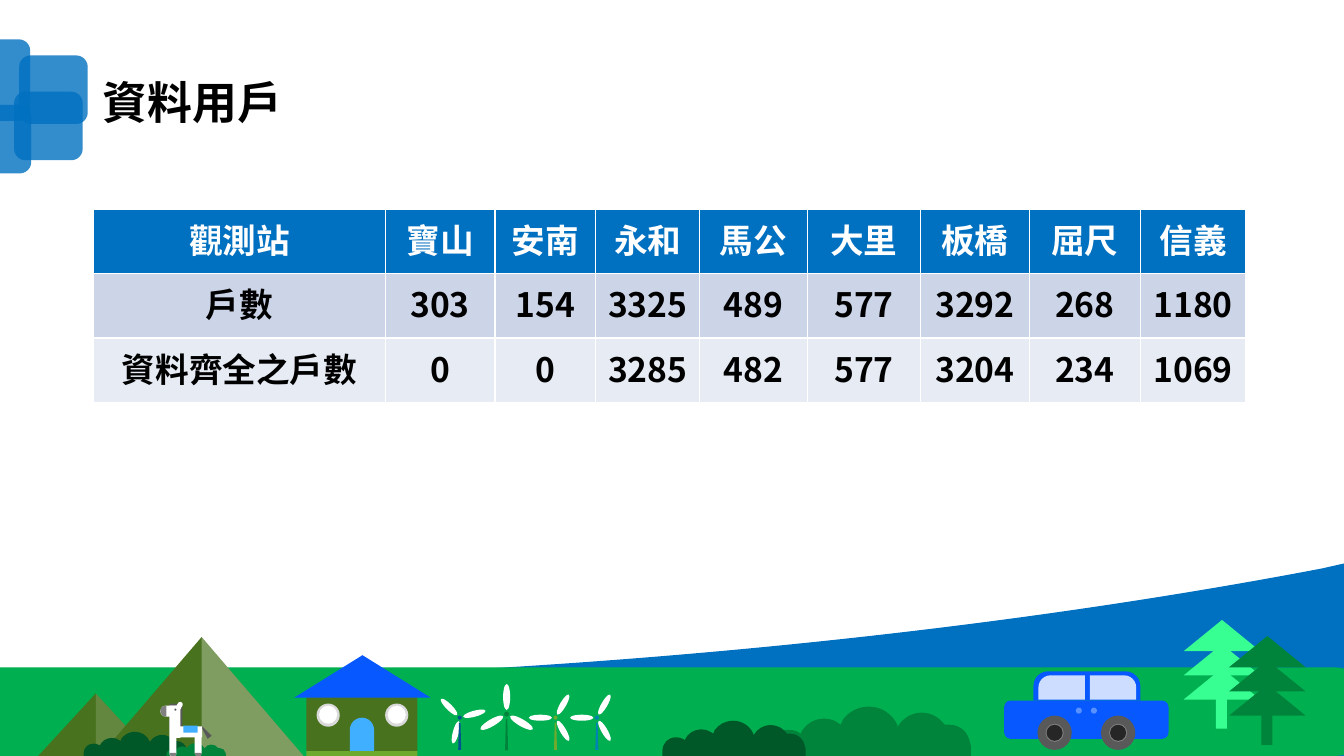
from math import cos, radians, sin

from lxml import etree
from pptx import Presentation
from pptx.dml.color import RGBColor
from pptx.enum.shapes import MSO_SHAPE as M
from pptx.enum.text import MSO_ANCHOR, PP_ALIGN
from pptx.oxml import parse_xml
from pptx.oxml.ns import nsdecls, qn
from pptx.util import Pt

PX = 9144  # 100 px to the inch
C = {
    "white": "FFFFFF", "black": "000000", "blue": "0070C0", "ground": "00B050",
    "olive": "49721E", "lime": "6EAA2E", "forest": "005828", "green": "00843C",
    "mint": "37FF92", "royal": "0759FF", "sky": "40AFFF", "lamp": "5991FF",
    "teal": "0084B4", "navy": "005490", "silver": "D9D9D9", "grey": "808080",
    "dark": "595959", "tyre": "262626", "band1": "CCD5E8", "band2": "E7EBF4",
}

prs = Presentation()
prs.slide_width, prs.slide_height = 1333 * PX, 750 * PX
slide = prs.slides.add_slide(prs.slide_layouts[6])


def add(kind, x, y, w, h, color, rot=0, adj=None, alpha=None):
    s = slide.shapes.add_shape(kind, *(round(v * PX) for v in (x, y, w, h)))
    s.shadow.inherit = False
    s.fill.solid()
    s.fill.fore_color.rgb = RGBColor.from_string(C[color])
    s.line.fill.background()
    s.rotation = rot
    for i, v in enumerate(adj or []):
        s.adjustments[i] = v
    if alpha:
        clr = s._element.spPr.find(qn("a:solidFill"))[0]
        etree.SubElement(clr, qn("a:alpha")).set("val", str(alpha * 1000))
    return s


def outline(steps, color, dx=0, dy=0, kx=1, ky=1):
    """Two numbers are a straight step, six are a Bézier step."""
    pts = [(round((dx + st[i] * kx) * PX), round((dy + st[i + 1] * ky) * PX))
           for st in steps for i in range(0, len(st), 2)]
    fb = slide.shapes.build_freeform(*pts[0], scale=1.0)
    fb.add_line_segments(pts[1:], close=True)
    s = fb.convert_to_shape()
    s.shadow.inherit = False
    s.fill.solid()
    s.fill.fore_color.rgb = RGBColor.from_string(C[color])
    s.line.fill.background()
    # Join each run of three control points into one curve
    segments = iter(list(s._element.iter(qn("a:lnTo"))))
    for st in steps[1:]:
        seg = next(segments)
        if len(st) == 6:
            seg.tag = qn("a:cubicBezTo")
            for extra in (next(segments), next(segments)):
                seg.append(extra[0])
                extra.getparent().remove(extra)


# Blue hill and corner tiles
outline([(1333, 559), (1333, 750), (0, 750), (0, 678), (91, 677),
         (542, 672, 960, 631, 1311, 564)], "blue")
for x, y, h in [(-38, 39, 81), (19, 55, 68), (14, 91, 68), (-37, 104, 68)]:
    add(M.ROUNDED_RECTANGLE, x, y, 68, h, "blue", alpha=80)

# Title
tb = slide.shapes.add_textbox(92 * PX, 75 * PX, 367 * PX, 59 * PX)
tf = tb.text_frame
tf.word_wrap = True
tf.vertical_anchor = MSO_ANCHOR.MIDDLE
p = tf.paragraphs[0]
p.line_spacing = 0.9
r = p.add_run()
r.text = "資料用戶"
r.font.name, r.font.size, r.font.bold = "Lato", Pt(32), True
r.font.color.rgb = RGBColor.from_string(C["black"])

# Table of stations
rows = [
    ["觀測站", "寶山", "安南", "永和", "馬公", "大里", "板橋", "屈尺", "信義"],
    ["戶數", "303", "154", "3325", "489", "577", "3292", "268", "1180"],
    ["資料齊全之戶數", "0", "0", "3285", "482", "577", "3204", "234", "1069"],
]
row_styles = [("blue", "white"), ("band1", "black"), ("band2", "black")]
widths = [289, 109, 100, 103, 107, 112, 108, 110, 105]
TABLE_H = 191 * PX
table = slide.shapes.add_table(3, 9, 93 * PX, 208 * PX, sum(widths) * PX, TABLE_H).table
for col, w in zip(table.columns, widths):
    col.width = w * PX
for i, (row, (fill, ink)) in enumerate(zip(rows, row_styles)):
    table.rows[i].height = TABLE_H // 3
    for j, text in enumerate(row):
        cell = table.cell(i, j)
        p = cell.text_frame.paragraphs[0]
        p.alignment = PP_ALIGN.CENTER
        r = p.add_run()
        r.text = text
        r.font.name, r.font.size, r.font.bold = "Noto Sans CJK SC", Pt(24), True
        r.font.color.rgb = RGBColor.from_string(C[ink])
        etree.SubElement(r.font._element, qn("a:ea")).set("typeface", "Noto Sans CJK SC")
        tcPr = cell._tc.get_or_add_tcPr()
        for side in "LRTB":
            tcPr.append(parse_xml(
                f'<a:ln{side} {nsdecls("a")} w="12700"><a:solidFill>'
                f'<a:srgbClr val="{C["white"]}"/></a:solidFill></a:ln{side}>'))
        cell.fill.solid()
        cell.fill.fore_color.rgb = RGBColor.from_string(C[fill])

# Ground and mountains, each with a lit right half
add(M.ROUNDED_RECTANGLE, -46, 662, 1413, 88, "ground", adj=[0.5])
for x, y, w, h, light in [(36, 688, 118, 64, 15), (98, 632, 204, 119, 30)]:
    add(M.ISOSCELES_TRIANGLE, x, y, w, h, "olive")
    add(M.RIGHT_TRIANGLE, x + w / 2, y, w / 2, h, "white", alpha=light)

# Bushes by the mountains
BUSH_W, BUSH_H = 200, 49
bush = [(0, 49), (0, 42), (0, 31, 8, 23, 19, 23), (23, 23, 27, 24, 30, 26), (31, 27),
        (35, 18, 44, 12, 54, 12), (59, 12, 64, 13, 68, 16), (71, 18), (73, 13),
        (79, 5, 88, 0, 99, 0), (111, 0, 122, 7, 127, 18), (127, 21), (128, 19),
        (133, 11, 142, 6, 151, 6), (161, 6, 169, 11, 174, 18), (179, 18),
        (189, 18, 197, 25, 199, 35), (200, 39), (200, 49)]
for x, y, w, h, color in [(83, 726, 103, 25, "forest"), (165, 737, 59, 14, "green")]:
    outline(bush, color, x, y, w / BUSH_W, h / BUSH_H)

# House
add(M.RECTANGLE, 304, 745, 110, 6, "lime")
add(M.RECTANGLE, 304, 691, 110, 54, "olive")
add(M.ROUND_2_SAME_RECTANGLE, 347, 712, 24, 33, "sky", adj=[0.5, 0])
for x in (314, 382):
    add(M.OVAL, x, 698, 23, 23, "silver")
    add(M.OVAL, x + 2.5, 700, 18, 18, "white")
add(M.ISOSCELES_TRIANGLE, 292, 650, 135, 42, "royal")

# Alpaca: tail, mane, head, body, legs, saddle
outline([(200, 720), (210, 730), (206, 733), (200, 722)], "dark")
add(M.ROUNDED_RECTANGLE, 168, 698, 13, 25, "dark", adj=[0.05])
for x, y, w, h, rot in [(163, 696, 11, 19, 270), (168, 732, 7, 19, 180),
                        (193, 731, 7, 19, 180), (175, 696, 5, 10, 30)]:
    add(M.ROUND_2_SAME_RECTANGLE, x, y, w, h, "white", rot, [0.5, 0])
add(M.RECTANGLE, 168, 700, 11, 32, "white")
add(M.RECTANGLE, 181, 712, 11, 28, "white", 90)
outline([(164, 700), (165, 700), (165, 711), (164, 711),
         (161, 711, 159, 708, 159, 705), (159, 702, 161, 700, 164, 700)], "grey")
add(M.OVAL, 173, 703, 2, 2, "dark")
for x in (168, 193):
    outline([(0, 0), (7, 0), (7, 2, 6, 4, 4, 4), (2, 4, 0, 2, 0, 0)], "grey", x, 747)
add(M.RECTANGLE, 182, 720, 14, 7, "sky")

# Wind turbines: three blades 120 degrees apart around a hub
for cx, cy, turn, radius, blade_w, blade_h, hub, tower, color in [
        (502.5, 708.5, 0, 17, 7, 26, 5, 31, "green"),
        (551, 712, 30, 15, 6, 23, 4, 27, "lime"),
        (592, 712, 30, 15, 6, 23, 4, 27, "teal"),
        (456, 712, 315, 15, 6, 23, 4, 27, "navy")]:
    add(M.OVAL, cx - hub / 2, cy - hub / 2, hub, hub, color)
    for k in range(3):
        a = (turn + 120 * k) % 360
        bx, by = cx + radius * sin(radians(a)), cy - radius * cos(radians(a))
        add(M.OVAL, bx - blade_w / 2, by - blade_h / 2, blade_w, blade_h, "white", a)
    add(M.TRAPEZOID, cx - 1.5, cy + 5, 3, tower, color)

# Bushes in the middle
for x, y, w, h, color in [(763, 701, 200, 49, "green"), (657, 715, 142, 35, "forest")]:
    outline(bush, color, x, y, w / BUSH_W, h / BUSH_H)

# Trees
for x, y, color in [(1174, 615, "mint"), (1219, 631, "green")]:
    for k in range(3):
        add(M.ISOSCELES_TRIANGLE, x, y + 24 * k, 76, 31, color)
    add(M.RECTANGLE, x + 32, y + 55, 11, 53, color)

# Car
add(M.ROUND_2_SAME_RECTANGLE, 1025, 666, 106, 29, "royal", adj=[0.5, 0])
add(M.ROUNDED_RECTANGLE, 996, 695, 163, 38, "royal")
rear = add(M.ROUND_1_RECTANGLE, 1030, 670, 46, 24, "white", adj=[0.5], alpha=80)
rear._element.spPr.find(qn("a:xfrm")).set("flipH", "1")
add(M.ROUND_1_RECTANGLE, 1081, 670, 46, 24, "white", adj=[0.5], alpha=80)
for cx in (1046, 1109):
    for d, color in [(34, "dark"), (18, "grey"), (16, "tyre")]:
        add(M.OVAL, cx - d / 2, 727 - d / 2, d, d, color)
for x in (1067, 1082):
    add(M.OVAL, x, 702, 6, 6, "lamp")

prs.save("out.pptx")
